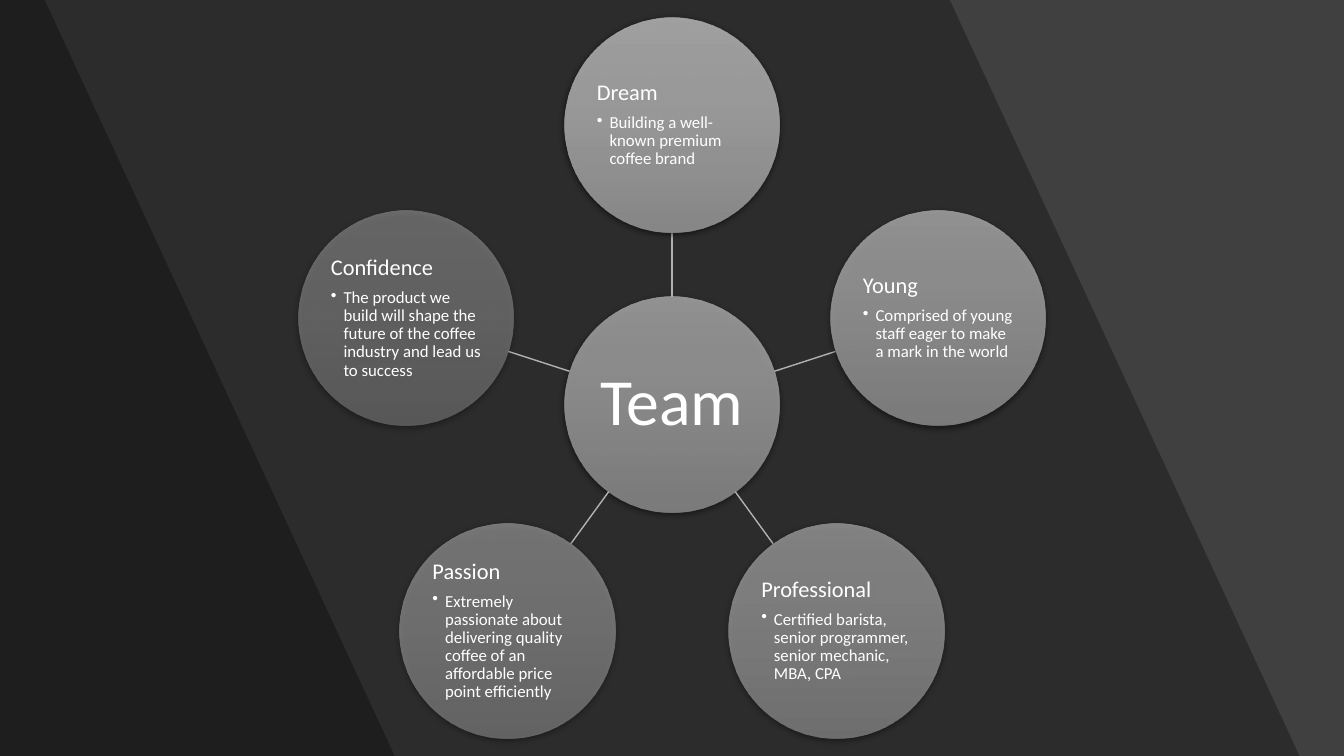
from math import cos, radians, sin

from lxml import etree
from pptx import Presentation
from pptx.dml.color import RGBColor
from pptx.enum.shapes import MSO_CONNECTOR, MSO_SHAPE
from pptx.enum.text import MSO_ANCHOR, PP_ALIGN
from pptx.oxml.ns import qn
from pptx.util import Pt

OVAL = MSO_SHAPE.OVAL
STRAIGHT = MSO_CONNECTOR.STRAIGHT
MIDDLE = MSO_ANCHOR.MIDDLE
LEFT, CENTER = PP_ALIGN.LEFT, PP_ALIGN.CENTER

# Content: heading, detail, circle opacity in percent; clockwise from the top
HUB = "Team"
HUB_OPACITY = 80
VALUES = [
    ("Dream", "Building a well-known premium coffee brand", 90),
    ("Young", "Comprised of young staff eager to make a mark in the world", 80),
    ("Professional", "Certified barista, senior programmer, senior mechanic, MBA, CPA", 70),
    ("Passion", "Extremely passionate about delivering quality coffee of an "
                "affordable price point efficiently", 60),
    ("Confidence", "The product we build will shape the future of the coffee "
                   "industry and lead us to success", 50),
]

# Layout in points
WIDTH, HEIGHT = 960, 540
CENTER_X, CENTER_Y = 480, 289
RADIUS, ORBIT = 76.9, 199.8
BANDS = [(678.4, 928.2), (31.9, 281.9)]  # top and bottom of each slanted edge
BULLET_INDENT = 9

FONT = "Calibri"
BACKGROUND, BAND, TEXT, SPOKE = "404040", "000000", "FFFFFF", "B1B1B1"
GRADIENT = [(0, "AFAFAF"), (50, "A5A5A5"), (100, "939393")]


def rgb(value):
    return RGBColor.from_string(value)


def add_xml(parent, tag, **attrs):
    return etree.SubElement(parent, qn(tag), {k: str(v) for k, v in attrs.items()})


def add_alpha(color, percent):
    add_xml(color, "a:alpha", val=percent * 1000)


def add_band(s, top_x, bottom_x):
    builder = s.shapes.build_freeform(0, 0, scale=1)
    corners = [(top_x, 0), (bottom_x, HEIGHT), (0, HEIGHT)]
    builder.add_line_segments([(Pt(x), Pt(y)) for x, y in corners], close=True)
    sp = builder.convert_to_shape()
    sp.shadow.inherit = False
    sp.fill.solid()
    sp.fill.fore_color.rgb = rgb(BAND)
    add_alpha(next(sp._element.spPr.iter(qn("a:srgbClr"))), 30)
    sp.line.fill.background()


def add_circle(s, x, y, opacity, inset):
    sp = s.shapes.add_shape(OVAL, Pt(x - RADIUS), Pt(y - RADIUS), Pt(2 * RADIUS), Pt(2 * RADIUS))
    sp.line.fill.background()
    # Translucent vertical gradient
    sp.fill.gradient()
    sp.fill.gradient_angle = 270
    spPr = sp._element.spPr
    stops = next(spPr.iter(qn("a:gsLst")))
    for stop in list(stops):
        stops.remove(stop)
    for position, color in GRADIENT:
        stop = add_xml(stops, "a:gs", pos=position * 1000)
        add_alpha(add_xml(stop, "a:srgbClr", val=color), opacity)
    # Soft shadow below
    sp.shadow.inherit = False
    shadow = add_xml(spPr.find(qn("a:effectLst")), "a:outerShdw", blurRad=Pt(4.5),
                     dist=Pt(1.5), dir=90 * 60000, algn="ctr", rotWithShape=0)
    add_alpha(add_xml(shadow, "a:srgbClr", val="000000"), 63)

    tf = sp.text_frame
    tf.word_wrap = True
    tf.vertical_anchor = MIDDLE
    tf.margin_left = tf.margin_right = tf.margin_top = tf.margin_bottom = Pt(inset)
    return tf


def add_text(p, text, size, align=LEFT):
    p.alignment = align
    p.line_spacing = 0.9
    r = p.add_run()
    r.text = text
    r.font.name = FONT
    r.font.size = Pt(size)
    r.font.color.rgb = rgb(TEXT)


def add_spoke(s, dx, dy):
    ends = [Pt(v) for d in (RADIUS, ORBIT - RADIUS)
            for v in (CENTER_X + d * dx, CENTER_Y + d * dy)]
    line = s.shapes.add_connector(STRAIGHT, *ends)
    line.line.color.rgb = rgb(SPOKE)
    line.line.width = Pt(1)
    add_xml(line._element.spPr, "a:effectLst")


prs = Presentation()
prs.slide_width, prs.slide_height = Pt(WIDTH), Pt(HEIGHT)
s = prs.slides.add_slide(prs.slide_layouts[6])

# Background with slanted bands
s.background.fill.solid()
s.background.fill.fore_color.rgb = rgb(BACKGROUND)
for top_x, bottom_x in BANDS:
    add_band(s, top_x, bottom_x)

# Hub
tf = add_circle(s, CENTER_X, CENTER_Y, HUB_OPACITY, 2.4)
add_text(tf.paragraphs[0], HUB, 47, CENTER)

# Values around the hub, each joined by a spoke
for i, (heading, detail, opacity) in enumerate(VALUES):
    angle = radians(360 / len(VALUES) * i - 90)
    dx, dy = cos(angle), sin(angle)
    add_spoke(s, dx, dy)
    tf = add_circle(s, CENTER_X + ORBIT * dx, CENTER_Y + ORBIT * dy, opacity, 0.8)
    p = tf.paragraphs[0]
    add_text(p, heading, 16)
    p.space_after = Pt(6)
    p = tf.add_paragraph()
    pPr = p._p.get_or_add_pPr()
    pPr.set("marL", str(Pt(BULLET_INDENT)))
    pPr.set("indent", str(-Pt(BULLET_INDENT)))
    add_xml(pPr, "a:buChar", char="•")
    add_text(p, detail, 12)

prs.save("out.pptx")
